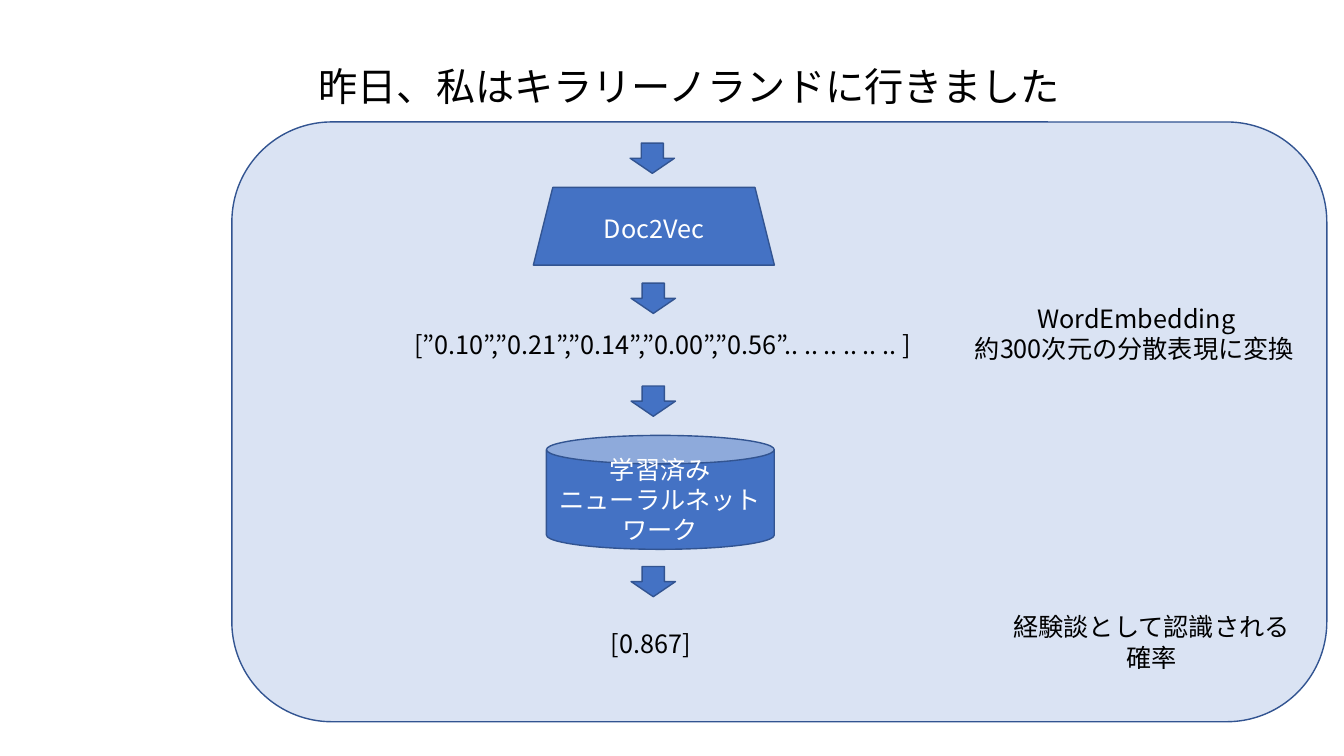
from lxml.etree import SubElement
from pptx import Presentation
from pptx.dml.color import RGBColor
from pptx.enum.shapes import MSO_SHAPE as Shape
from pptx.enum.text import MSO_ANCHOR as Anchor, PP_ALIGN as Align
from pptx.oxml.ns import qn
from pptx.util import Inches, Pt

FONT = "Noto Sans CJK JP"
BLUE, PALE, EDGE = "4472C4", "DAE3F3", "325491"
BLACK, WHITE = "000000", "FFFFFF"

SENTENCE = "昨日、私はキラリーノランドに行きました"
PANEL = (2.3, 1.21, 10.86, 5.95)
STAGES = [
    (Shape.TRAPEZOID, (5.29, 1.86, 2.39, 0.77), "Doc2Vec"),
    (Shape.CAN, (5.42, 4.32, 2.26, 1.13), "学習済み\nニューラルネットワーク"),
]
ARROW_SIZE = (0.44, 0.3)
ARROW_CORNERS = [(6.25, 1.42), (6.26, 2.81), (6.26, 3.83), (6.26, 5.62)]
# Each label: box, then (line, alignment) pairs
LABELS = [
    ((4.01, 3.22, 5.36, 0.4),
     [("[”0.10”,”0.21”,”0.14”,”0.00”,”0.56”.. .. .. .. .. .. ]", Align.LEFT)]),
    ((9.57, 2.96, 3.4, 0.71),
     [("WordEmbedding", Align.CENTER), ("約300次元の分散表現に変換", Align.LEFT)]),
    ((5.96, 6.18, 1.02, 0.4), [("[0.867]", Align.LEFT)]),
    ((9.93, 6.02, 2.98, 0.71),
     [("経験談として認識される", Align.CENTER), ("確率", Align.CENTER)]),
]


def rgb(value):
    return RGBColor.from_string(value)


def inches(box):
    return [Inches(length) for length in box]


def write(paragraph, text, size=18, color=BLACK, align=Align.LEFT):
    paragraph.text = text
    paragraph.alignment = align
    for run in paragraph.runs:
        run.font.name = FONT
        run.font.size = Pt(size)
        run.font.color.rgb = rgb(color)
        SubElement(run.font._element, qn("a:ea")).set("typeface", FONT)


def add_block(slide, kind, box, fill=BLUE):
    block = slide.shapes.add_shape(kind, *inches(box))
    block.shadow.inherit = False
    block.fill.solid()
    block.fill.fore_color.rgb = rgb(fill)
    block.line.color.rgb = rgb(EDGE)
    block.line.width = Pt(1)
    return block


def add_label(slide, box, lines):
    frame = slide.shapes.add_textbox(*inches(box)).text_frame
    frame.word_wrap = True
    for index, (text, align) in enumerate(lines):
        paragraph = frame.add_paragraph() if index else frame.paragraphs[0]
        write(paragraph, text, align=align)


def main():
    deck = Presentation()
    deck.slide_width, deck.slide_height = Inches(13.33), Inches(7.5)
    slide = deck.slides.add_slide(deck.slide_layouts[5])

    add_block(slide, Shape.ROUNDED_RECTANGLE, PANEL, PALE)

    title = slide.shapes.title
    title.left, title.top, title.width, title.height = inches((3.06, 0.16, 8.36, 1.45))
    title.text_frame.vertical_anchor = Anchor.MIDDLE
    heading = title.text_frame.paragraphs[0]
    write(heading, SENTENCE, size=28)
    heading.line_spacing = 0.9

    for kind, box, text in STAGES:
        frame = add_block(slide, kind, box).text_frame
        frame.word_wrap = True
        frame.vertical_anchor = Anchor.MIDDLE
        write(frame.paragraphs[0], text, color=WHITE, align=Align.CENTER)
    for corner in ARROW_CORNERS:
        add_block(slide, Shape.DOWN_ARROW, corner + ARROW_SIZE)
    for box, lines in LABELS:
        add_label(slide, box, lines)

    deck.save("out.pptx")


if __name__ == "__main__":
    main()
